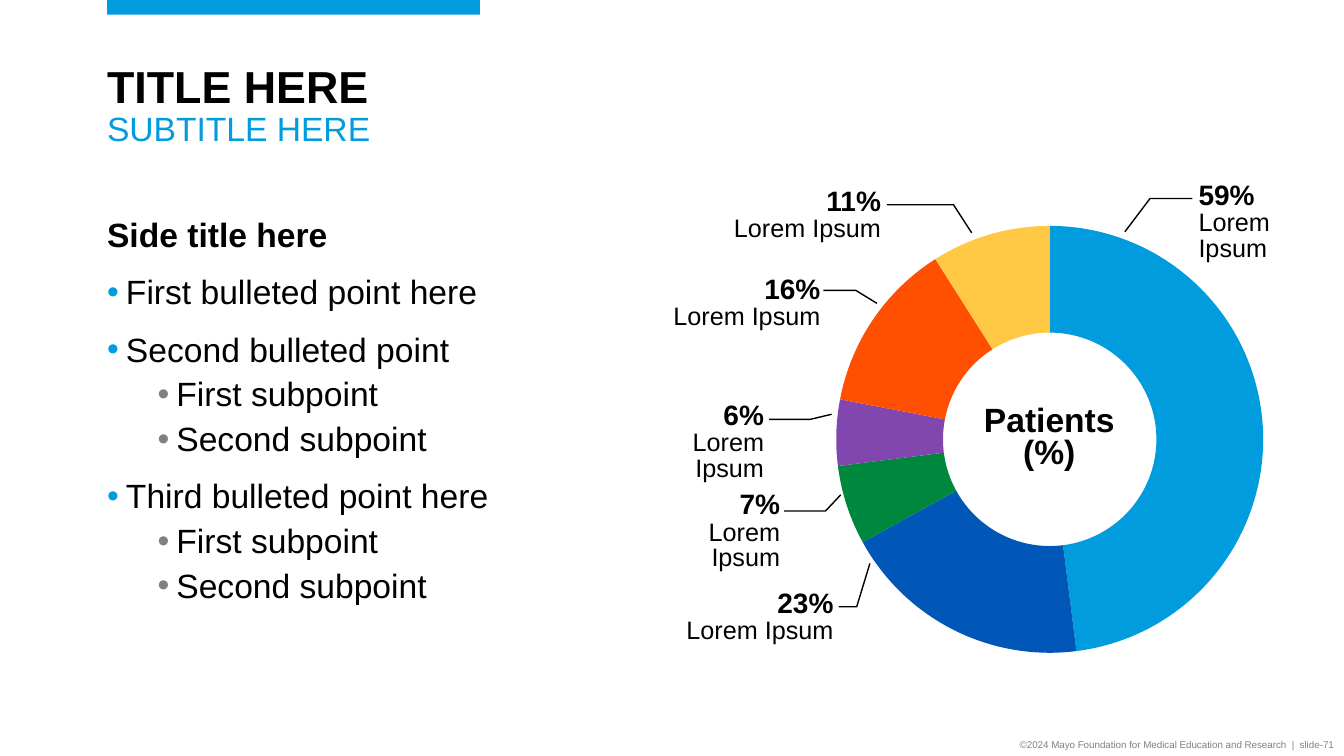
from lxml import etree
from pptx import Presentation
from pptx.chart.data import CategoryChartData
from pptx.dml.color import RGBColor
from pptx.enum.chart import XL_CHART_TYPE as ChartType
from pptx.enum.shapes import MSO_SHAPE as Preset
from pptx.enum.text import MSO_ANCHOR as Anchor, PP_ALIGN as Align
from pptx.oxml import parse_xml
from pptx.oxml.ns import nsdecls, qn
from pptx.util import Pt

BLACK = RGBColor(0x00, 0x00, 0x00)
GRAY = RGBColor(0x80, 0x80, 0x80)
SKY = RGBColor(0x00, 0x9C, 0xDE)
BLUE = RGBColor(0x00, 0x57, 0xB8)
GREEN = RGBColor(0x00, 0x87, 0x3E)
PURPLE = RGBColor(0x82, 0x46, 0xAF)
ORANGE = RGBColor(0xFE, 0x50, 0x00)
YELLOW = RGBColor(0xFF, 0xC8, 0x45)
FONT = "Arial"

FOOTER = "©2024 Mayo Foundation for Medical Education and Research  |  slide-71"
TITLE, SUBTITLE = "TITLE HERE", "SUBTITLE HERE"
CENTER = "Patients\v(%)"
SIDE_TITLE = "Side title here"
BULLETS = [
    (0, "First bulleted point here"),
    (0, "Second bulleted point"),
    (1, "First subpoint"),
    (1, "Second subpoint"),
    (0, "Third bulleted point here"),
    (1, "First subpoint"),
    (1, "Second subpoint"),
]
LEVELS = [(13.5, 15, SKY), (49.5, 6, GRAY)]
SLICES = [(48, SKY), (19, BLUE), (6, GREEN), (5, PURPLE), (13, ORANGE), (9, YELLOW)]
LABEL_NAME = "Lorem Ipsum"
LABELS = [
    ("59%", Align.LEFT, (853.9, 130.3, 88.6, 57.6), (803.5, 165.6), (821.5, 141.8), 851.8),
    ("23%", Align.RIGHT, (484.6, 421.9, 113, 38.9), (621.4, 402.5), (612, 433.4), 599),
    ("7%", Align.RIGHT, (479.5, 351.4, 79.9, 57.6), (600.5, 353.5), (589.7, 365), 560.2),
    ("6%", Align.RIGHT, (479.5, 287.3, 68.4, 57.6), (594, 295.9), (578.9, 299.5), 549.4),
    ("16%", Align.RIGHT, (472.3, 197.3, 115.9, 38.9), (626.4, 216.7), (611.3, 207.4), 588.2),
    ("11%", Align.RIGHT, (506.9, 134.6, 124.6, 38.9), (694.1, 166.3), (681.1, 146.2), 633.6),
]
CHART_AREA = (581, 151.2, 337.7, 325.4)
DONUT = 305


def add_box(page, area, margins=(0, 0, 0, 0), anchor=Anchor.TOP):
    frame = page.shapes.add_textbox(*map(Pt, area)).text_frame
    frame.word_wrap = True
    frame.vertical_anchor = anchor
    frame.margin_left, frame.margin_top, frame.margin_right, frame.margin_bottom = map(Pt, margins)
    return frame


def style(para, looks, spacing=None, align=Align.LEFT):
    para.alignment = align
    para.line_spacing = spacing
    for span, (size, color, bold) in zip(para.runs, looks):
        span.font.name = FONT
        span.font.size = Pt(size)
        span.font.color.rgb = color
        span.font.bold = bold


def add_bullet(para, level):
    indent, before, color = LEVELS[level]
    para.level = level
    properties = para._p.get_or_add_pPr()
    properties.set("marL", str(Pt(indent)))
    properties.set("indent", str(Pt(-13.5)))
    tint = etree.SubElement(properties, qn("a:buClr"))
    etree.SubElement(tint, qn("a:srgbClr")).set("val", str(color))
    etree.SubElement(properties, qn("a:buFont")).set("typeface", FONT)
    etree.SubElement(properties, qn("a:buChar")).set("char", "•")
    para.space_before = Pt(before)


def add_header_and_footer(page):
    frame = add_box(page, (527.8, 524.2, 432, 15.8), (7.2, 3.6, 7.2, 3.6), Anchor.MIDDLE)
    frame.text = FOOTER
    style(frame.paragraphs[0], [(7, GRAY, False)], align=Align.RIGHT)
    bar = page.shapes.add_shape(Preset.RECTANGLE, Pt(76.5), Pt(0), Pt(266.4), Pt(10.5))
    bar.shadow.inherit = False
    bar.fill.solid()
    bar.fill.fore_color.rgb = SKY
    bar.line.fill.background()
    frame = add_box(page, (76.5, 42.5, 787, 46), (0, 3.6, 0, 3.6))
    frame.paragraphs[0].text = f"{TITLE}\v{SUBTITLE}"
    style(frame.paragraphs[0], [(32, BLACK, True), (24, SKY, False)], 0.9)


def add_donut(page):
    data = CategoryChartData()
    data.categories = [str(number + 1) for number in range(len(SLICES))]
    data.add_series("Series 1", [value for value, color in SLICES])
    chart = page.shapes.add_chart(ChartType.DOUGHNUT, *map(Pt, CHART_AREA), data).chart
    chart.has_legend = False
    chart.has_title = False
    chart.font.name = FONT
    chart.font.size = Pt(18)
    chart.font.color.rgb = BLACK
    plot = chart.plots[0]
    plot.vary_by_categories = True
    for index, (value, color) in enumerate(SLICES):
        look = plot.series[0].points[index].format
        look.fill.solid()
        look.fill.fore_color.rgb = color
        look.line.fill.background()
    plot._element.find(qn("c:holeSize")).set("val", "71")
    area = chart._chartSpace.chart.plotArea
    for old in area.findall(qn("c:layout")):
        area.remove(old)
    wide, high = DONUT / CHART_AREA[2], DONUT / CHART_AREA[3]
    parts = {"layoutTarget": "inner", "xMode": "edge", "yMode": "edge",
             "x": (1 - wide) / 2, "y": (1 - high) / 2, "w": wide, "h": high}
    inside = "".join(f'<c:{name} val="{value}"/>' for name, value in parts.items())
    area.insert(0, parse_xml(
        f'<c:layout {nsdecls("c")}><c:manualLayout>{inside}</c:manualLayout></c:layout>'))


def add_label(page, percent, align, area, start, knee, end):
    builder = page.shapes.build_freeform(*map(Pt, start))
    corners = [knee, (end, knee[1])]
    builder.add_line_segments([(Pt(x), Pt(y)) for x, y in corners], close=False)
    leader = builder.convert_to_shape()
    leader.shadow.inherit = False
    leader.fill.background()
    leader.line.color.rgb = BLACK
    leader.line.width = Pt(1)
    margins = (2.2, 0, 0, 0) if align == Align.LEFT else (0, 0, 2.2, 0)
    frame = add_box(page, area, margins)
    frame.text = f"{percent}\n{LABEL_NAME}"
    for para, look in zip(frame.paragraphs, [(20, BLACK, True), (18, BLACK, False)]):
        style(para, [look], 0.85, align)


def add_body(page):
    frame = add_box(page, (76.5, 156.2, 375.8, 308.2), (0, 0, 0, 3.6))
    frame.text = SIDE_TITLE
    style(frame.paragraphs[0], [(24, BLACK, True)], 0.9)
    for level, words in BULLETS:
        para = frame.add_paragraph()
        para.text = words
        add_bullet(para, level)
        style(para, [(24, BLACK, False)], 0.9)


def main():
    deck = Presentation()
    deck.slide_width, deck.slide_height = Pt(960), Pt(540)
    page = deck.slides.add_slide(deck.slide_layouts[6])
    add_header_and_footer(page)
    add_donut(page)
    for label in LABELS:
        add_label(page, *label)
    frame = add_box(page, (663.8, 286.6, 171.4, 54), (7.2, 3.6, 7.2, 3.6), Anchor.MIDDLE)
    frame.paragraphs[0].text = CENTER
    style(frame.paragraphs[0], [(24, BLACK, True)] * 2, 0.8, Align.CENTER)
    add_body(page)
    deck.save("out.pptx")


if __name__ == "__main__":
    main()
